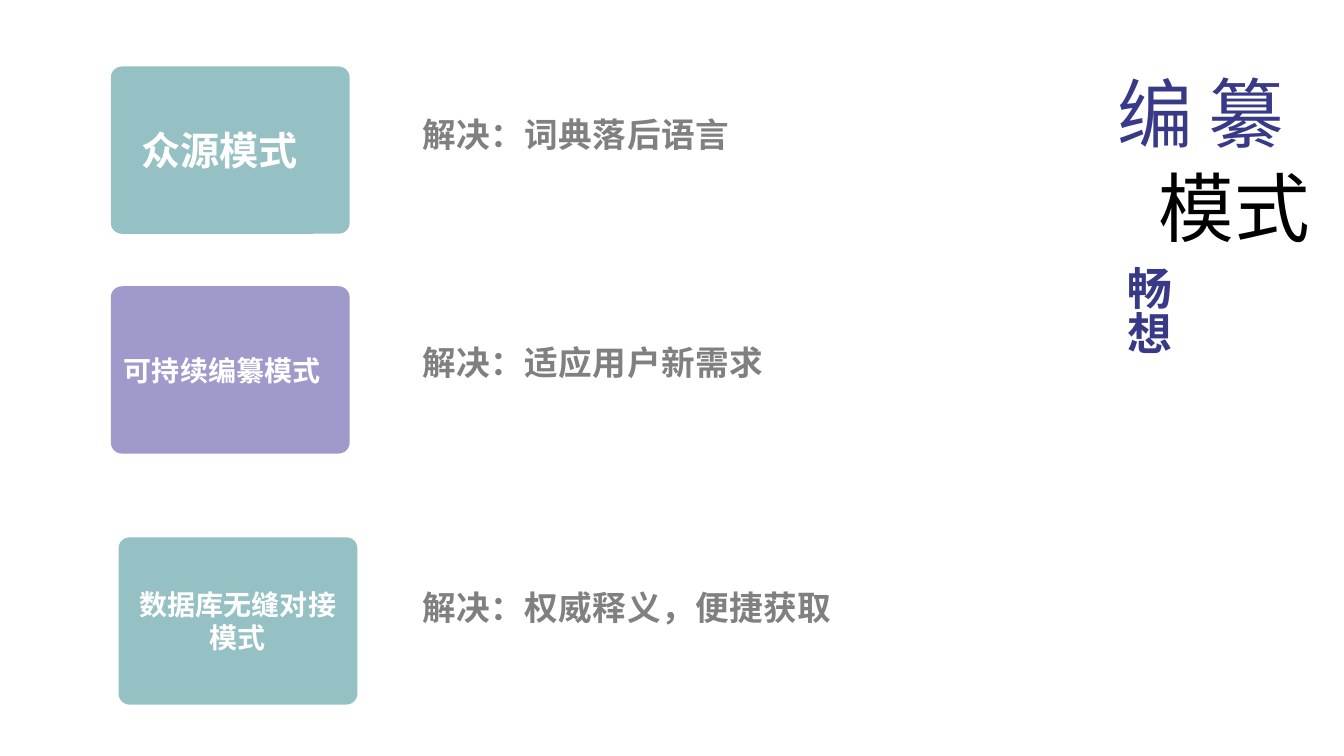
from pptx import Presentation
from pptx import util as u
from pptx.dml import color
from pptx.enum import shapes, text
from pptx.oxml import parse_xml
from pptx.oxml.ns import qn

NOTO = "Noto Sans CJK SC"
TEAL, LILAC, NAVY, GREY = "95C1C4", "A099CB", "383987", "808080"
NS = "http://schemas.openxmlformats.org/drawingml/2006/main"
ALIGN, ANCHOR = text.PP_ALIGN, text.MSO_ANCHOR


def rgb(code):
    return color.RGBColor.from_string(code)


def write(shape, words, size, tint, font=NOTO, bold=False, align=ALIGN.LEFT,
          anchor=ANCHOR.TOP, grow=False, wrap=True, upright=False,
          space=0, indent=0, edge=None):
    frame = shape.text_frame
    frame.word_wrap = wrap
    frame.vertical_anchor = anchor
    if grow:
        frame.auto_size = text.MSO_AUTO_SIZE.SHAPE_TO_FIT_TEXT
    if upright:
        frame._txBody.bodyPr.set("vert", "eaVert")
    para = frame.paragraphs[0]
    para.alignment = align
    if indent:
        props = para._p.get_or_add_pPr()
        props.set("marL", str(u.Pt(indent)))
        props.set("indent", "0")
    run = para.add_run()
    run.text = words
    run.font.size = u.Pt(size)
    run.font.bold = bold
    run.font.color.rgb = rgb(tint)
    run.font.name = font
    props = run._r.get_or_add_rPr()
    latin = props.find(qn("a:latin"))
    latin.addnext(parse_xml(f'<a:ea xmlns:a="{NS}" typeface="{font}"/>'))
    if space:
        props.set("spc", str(int(space * 100)))
    if edge:
        props.insert(0, parse_xml(
            f'<a:ln xmlns:a="{NS}" w="{u.Pt(edge)}"><a:solidFill>'
            f'<a:srgbClr val="{tint}"/></a:solidFill></a:ln>'))


def label(slide, box, words, size, tint, **style):
    shape = slide.shapes.add_textbox(*map(u.Pt, box))
    write(shape, words, size, tint, **style)


def card(slide, box, fill, words, size, **style):
    shape = slide.shapes.add_shape(
        shapes.MSO_SHAPE.ROUNDED_RECTANGLE, *map(u.Pt, box))
    shape.adjustments[0] = 0.066
    shape.shadow.inherit = False
    shape.fill.solid()
    shape.fill.fore_color.rgb = rgb(fill)
    shape.line.fill.background()
    write(shape, words, size, "FFFFFF", bold=True, anchor=ANCHOR.MIDDLE, **style)


def note(slide, box, words):
    label(slide, box, words, 24, GREY, font="DejaVu Sans",
          bold=True, grow=True, space=0.4)


def title(slide, left, top):
    label(slide, (left, top, 145.5, 83.5), "纂编", 54, NAVY, align=ALIGN.JUSTIFY,
          anchor=ANCHOR.BOTTOM, grow=True, upright=True, edge=0.75)
    label(slide, (left + 33, top + 64, 124, 72.7), "模式", 54, "000000",
          font="Calibri", grow=True, wrap=False)
    label(slide, (left + 7.2, top + 135.4, 51, 131), "畅想", 32, NAVY, bold=True,
          anchor=ANCHOR.MIDDLE, upright=True)


def main():
    deck = Presentation()
    deck.slide_width, deck.slide_height = u.Pt(960), u.Pt(540)
    slide = deck.slides.add_slide(deck.slide_layouts[6])
    rows = [
        (79.2, 47.5, TEAL, "众源模式", 28, {"indent": 12.5},
         77.8, 237, "解决：词典落后语言"),
        (79.2, 204.5, LILAC, "可持续编纂模式", 20, {},
         240.5, 314, "解决：适应用户新需求"),
        (84.7, 383.8, TEAL, "数据库无缝对接模式", 20, {"align": ALIGN.CENTER},
         415.5, 348, "解决：权威释义，便捷获取"),
    ]
    for left, top, fill, mode, size, style, high, wide, gain in rows:
        card(slide, (left, top, 170.6, 119.5), fill, mode, size, **style)
        note(slide, (294.5, high, wide, 36), gain)
    title(slide, 787.7, 47.5)
    deck.save("out.pptx")


if __name__ == "__main__":
    main()
